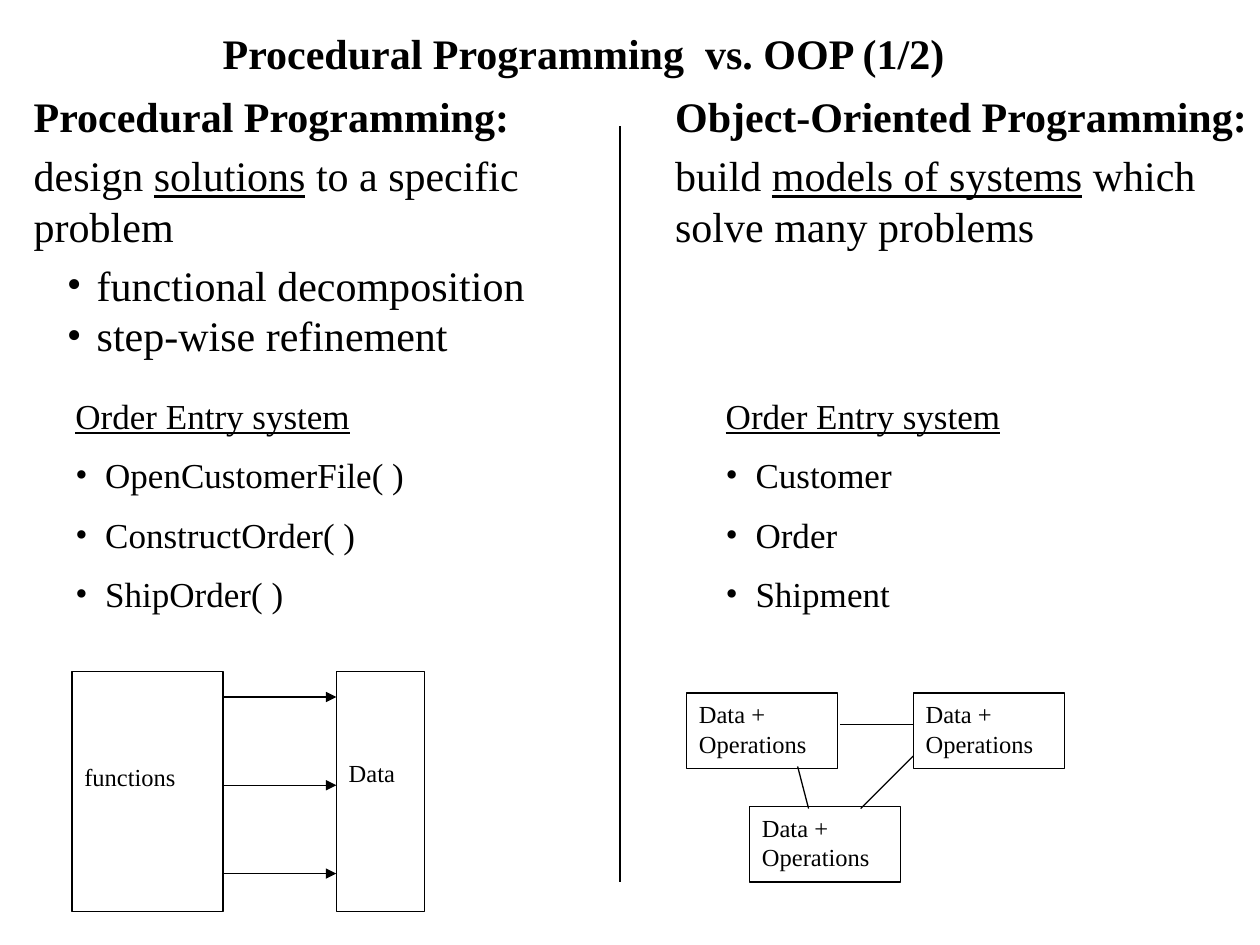
import pptx
import pptx.dml.color
import pptx.enum.shapes
import pptx.enum.text
import pptx.oxml.ns
import pptx.util
import lxml.etree

Cm, Pt = pptx.util.Cm, pptx.util.Pt
FONT = "Times New Roman"
COLORS = {"ink": "000000", "paper": "FFFFFF"}


def color(name):
    """Return the named colour."""
    return pptx.dml.color.RGBColor.from_string(COLORS[name])


def add_xml(parent, tag, **attributes):
    """Append a DrawingML element."""
    return lxml.etree.SubElement(parent, pptx.oxml.ns.qn(tag), attributes)


def place(part, left, top, width, height):
    """Set position and size in centimetres."""
    part.left, part.top = Cm(left), Cm(top)
    part.width, part.height = Cm(width), Cm(height)


def write(part, paragraphs, size, wrap=True, top_margin=0.13):
    """Write (runs, gap, indent) paragraphs; a run is (text, style)."""
    frame = part.text_frame
    frame.word_wrap = wrap
    frame.auto_size = pptx.enum.text.MSO_AUTO_SIZE.NONE
    frame.vertical_anchor = pptx.enum.text.MSO_ANCHOR.TOP
    frame.margin_left = frame.margin_right = Cm(0.25)
    frame.margin_top, frame.margin_bottom = Cm(top_margin), Cm(0.13)
    for index, (runs, gap, indent) in enumerate(paragraphs):
        paragraph = frame.add_paragraph() if index else frame.paragraphs[0]
        paragraph.alignment = pptx.enum.text.PP_ALIGN.LEFT
        paragraph.line_spacing = 1.0
        paragraph.space_before = paragraph.space_after = Pt(gap)
        properties = paragraph._p.get_or_add_pPr()
        properties.set("marL", str(Cm(indent)))
        properties.set("indent", str(Cm(-0.6 if indent else 0)))
        if indent:
            paragraph.level = 1 if indent > 1 else 0
            add_xml(add_xml(properties, "a:buClr"), "a:srgbClr", val=COLORS["ink"])
            add_xml(properties, "a:buFont", typeface=FONT)
            add_xml(properties, "a:buChar", char="•")
        else:
            add_xml(properties, "a:buNone")
        for text, style in runs:
            run = paragraph.add_run()
            run.text = text
            run.font.name, run.font.size = FONT, Pt(size)
            run.font.bold = style == "bold"
            run.font.underline = style == "underline"
            run.font.color.rgb = color("ink")


def plain(text, gap=0, indent=0):
    """Return a paragraph of one plain run."""
    return [(text, "")], gap, indent


def add_line(slide, start, end, arrow=False):
    """Draw a thin line between two points in centimetres."""
    line = slide.shapes.add_connector(
        pptx.enum.shapes.MSO_CONNECTOR.STRAIGHT, *map(Cm, start + end))
    line.line.color.rgb = color("ink")
    line.line.width = Pt(0.74)
    if arrow:
        add_xml(line.line._get_or_add_ln(), "a:tailEnd", type="triangle")
    add_xml(line._element.spPr, "a:effectLst")


def add_box(slide, box, labels, top_margin=0.13):
    """Draw a white box with one paragraph per label."""
    block = slide.shapes.add_shape(
        pptx.enum.shapes.MSO_SHAPE.RECTANGLE, *map(Cm, box))
    block.shadow.inherit = False
    block.fill.solid()
    block.fill.fore_color.rgb = color("paper")
    block.line.color.rgb = color("ink")
    block.line.width = Pt(0.74)
    write(block, [plain(label) for label in labels], 14, top_margin=top_margin)


def fill_intro(intro, box, heading, definition, methods=()):
    """Fill a column's heading, definition and methods."""
    place(intro, *box)
    write(intro, [([(heading, "bold")], 0, 0), (definition, 5, 0)]
          + [plain(method, 0, 1.27) for method in methods], 24)


def fill_example(example, box, items):
    """Fill the order entry example list."""
    place(example, *box)
    write(example, [([("Order Entry system", "underline")], 5, 0)]
          + [plain(item, 5, 0.6) for item in items], 20)


def draw_functions_and_data(slide, left, top, width, height):
    """Draw functions pointing at shared data."""
    functions_width, data_width = 3.05, 1.78
    data_left = left + width - data_width
    add_box(slide, (left, top, functions_width, height), ["functions"], 1.83)
    add_box(slide, (data_left, top, data_width, height), ["Data"], 1.75)
    for step in range(3):
        level = top + 0.51 + step * 1.78
        add_line(slide, (left + functions_width, level), (data_left, level), True)


def draw_objects(slide, left, top, width, height):
    """Draw three linked objects in a triangle."""
    object_width, object_height = 3.05, 1.52
    right = left + width - object_width
    bottom = top + height - object_height
    for x, y in ((left, top), (right, top), (left + 1.27, bottom)):
        add_box(slide, (x, y, object_width, object_height), ["Data +", "Operations"])
    add_line(slide, (left + 3.1, top + 0.64), (right, top + 0.64))
    add_line(slide, (left + 3.51, bottom + 0.04), (right, top + 1.27))
    add_line(slide, (left + 2.24, top + 1.48), (left + 2.46, bottom + 0.04))


def build_comparison(presentation):
    """Build the two-column comparison slide."""
    slide = presentation.slides.add_slide(presentation.slide_layouts[4])
    title, left_intro, left_example, right_intro, right_example = slide.placeholders
    place(title, 4.24, 0.43, 15.14, 1.27)
    write(title, [([("Procedural Programming  vs. OOP (1/2)", "bold")], 0, 0)],
          24, wrap=False)
    fill_intro(left_intro, (0.43, 1.7, 11.63, 5.69), "Procedural Programming:",
               [("design ", ""), ("solutions", "underline"),
                (" to a specific problem", "")],
               ["functional decomposition", "step-wise refinement"])
    fill_example(left_example, (1.27, 7.82, 7.19, 4.7),
                 ["OpenCustomerFile( )", "ConstructOrder( )", "ShipOrder( )"])
    draw_functions_and_data(slide, 1.45, 13.54, 7.11, 4.83)
    fill_intro(right_intro, (13.36, 1.7, 12.04, 4.85), "Object-Oriented Programming:",
               [("build ", ""), ("models of systems", "underline"),
                (" which solve many problems", "")])
    fill_example(right_example, (14.38, 7.82, 6.05, 4.7),
                 ["Customer", "Order", "Shipment"])
    draw_objects(slide, 13.84, 13.97, 7.62, 3.81)
    add_line(slide, (12.5, 2.54), (12.5, 17.78))


presentation = pptx.Presentation()
presentation.slide_width, presentation.slide_height = Cm(25.4), Cm(19.05)
build_comparison(presentation)
presentation.save("out.pptx")
